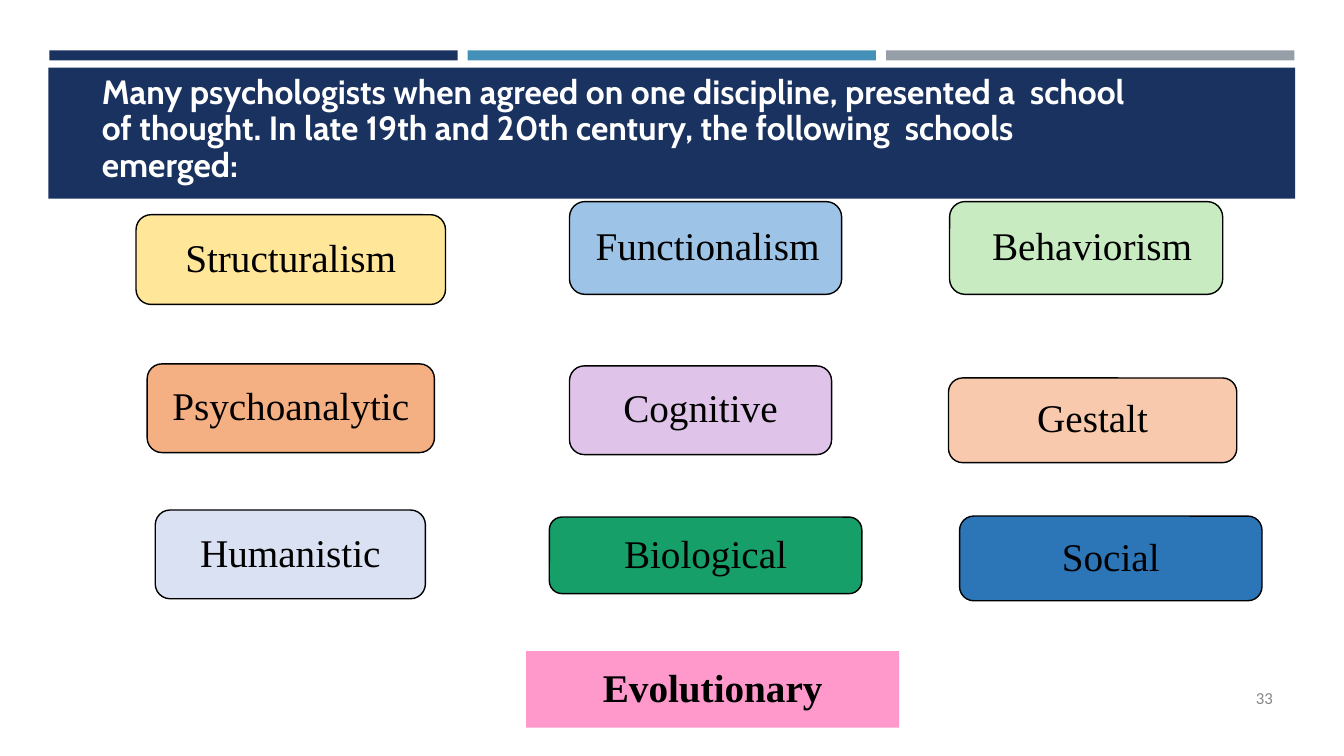
from pptx import Presentation
from pptx import util as u
from pptx.dml.color import RGBColor
from pptx.enum import shapes, text

PX = 9144  # 100 px to the inch

THEME = {
    "navy": "1A3260", "blue": "4590B8", "grey": "969FA7",
    "white": "FFFFFF", "black": "000000", "page": "878787", "pink": "FF99CC",
    "title": 24, "leading": 26, "label": 28, "number": 12,
    "head": "Cabin", "body": "Times New Roman", "small": "Calibri",
}

KIND = shapes.MSO_SHAPE


def block(kind, box, fill):
    """Add a plain filled shape without outline or shadow."""
    shape = slide.shapes.add_shape(kind, *(n * PX for n in box))
    shape.shadow.inherit = False
    shape.fill.solid()
    shape.fill.fore_color.rgb = RGBColor.from_string(fill)
    shape.line.fill.background()
    return shape


def write(shape, words, face, size, color, align, anchor, pad, bold=False):
    """Fill a shape with one paragraph; pad is left, top, right, bottom."""
    frame = shape.text_frame
    frame.text = words
    frame.auto_size = text.MSO_AUTO_SIZE.NONE
    frame.word_wrap = True
    frame.vertical_anchor = anchor
    (frame.margin_left, frame.margin_top,
     frame.margin_right, frame.margin_bottom) = (n * PX for n in pad)
    para = frame.paragraphs[0]
    para.alignment = align
    font = para.runs[0].font
    font.name, font.size, font.bold = face, u.Pt(size), bold
    font.color.rgb = RGBColor.from_string(color)
    return para


deck = Presentation()
deck.slide_width, deck.slide_height = u.Inches(13.333), u.Inches(7.5)
slide = deck.slides.add_slide(deck.slide_layouts[5])

# Header: three stripes over a band
for col, tone in enumerate(("navy", "blue", "grey")):
    block(KIND.RECTANGLE, (49 + 415 * col, 50, 405, 10), THEME[tone])
block(KIND.RECTANGLE, (48, 67, 1237, 130), THEME["navy"])

title = slide.shapes.title
title.element.getparent().append(title.element)  # in front of the band
title.left, title.top, title.width, title.height = (
    n * PX for n in (101, 68, 1032, 115))
para = write(title, "Many psychologists when agreed on one discipline, "
             "presented a  school of thought. In late 19th and 20th century, "
             "the following  schools emerged:",
             THEME["head"], THEME["title"], THEME["white"],
             text.PP_ALIGN.LEFT, text.MSO_ANCHOR.TOP, (0, 6, 0, 0), True)
para.line_spacing = u.Pt(THEME["leading"])

# Schools: name, box, fill, shift of the label to the right
SCHOOLS = [
    ("Structuralism", (135, 213, 307, 89), "FFE699", 0),
    ("Functionalism", (565, 200, 270, 92), "9DC3E6", 2),
    ("Behaviorism", (942, 200, 271, 92), "C8EBC1", 6),
    ("Psychoanalytic", (146, 361, 285, 88), "F4AF83", 0),
    ("Cognitive", (565, 363, 260, 88), "DFC3E9", 0),
    ("Gestalt", (941, 375, 286, 84), "F8C9AC", 0),
    ("Humanistic", (154, 506, 268, 88), "DAE1F3", 0),
    ("Biological", (545, 513, 310, 76), "179F69", 0),
    ("Social", (952, 512, 300, 84), "2C75B6", 0),
    ("Evolutionary", (522, 646, 370, 76), THEME["pink"], 0),
]
for name, box, fill, shift in SCHOOLS:
    last = name == "Evolutionary"
    shape = block(KIND.RECTANGLE if last else KIND.ROUNDED_RECTANGLE, box, fill)
    if not last:
        shape.line.color.rgb = RGBColor.from_string(THEME["black"])
        shape.line.width = u.Pt(1)
    write(shape, name, THEME["body"], THEME["label"], THEME["black"],
          text.PP_ALIGN.CENTER, text.MSO_ANCHOR.MIDDLE,
          (2 * shift, 0, 0, 6), last)

page = slide.shapes.add_textbox(*(n * PX for n in (1245, 681, 19, 23)))
write(page, "33", THEME["small"], THEME["number"], THEME["page"],
      text.PP_ALIGN.LEFT, text.MSO_ANCHOR.TOP, (1, 1, 0, 0))

deck.save("out.pptx")
